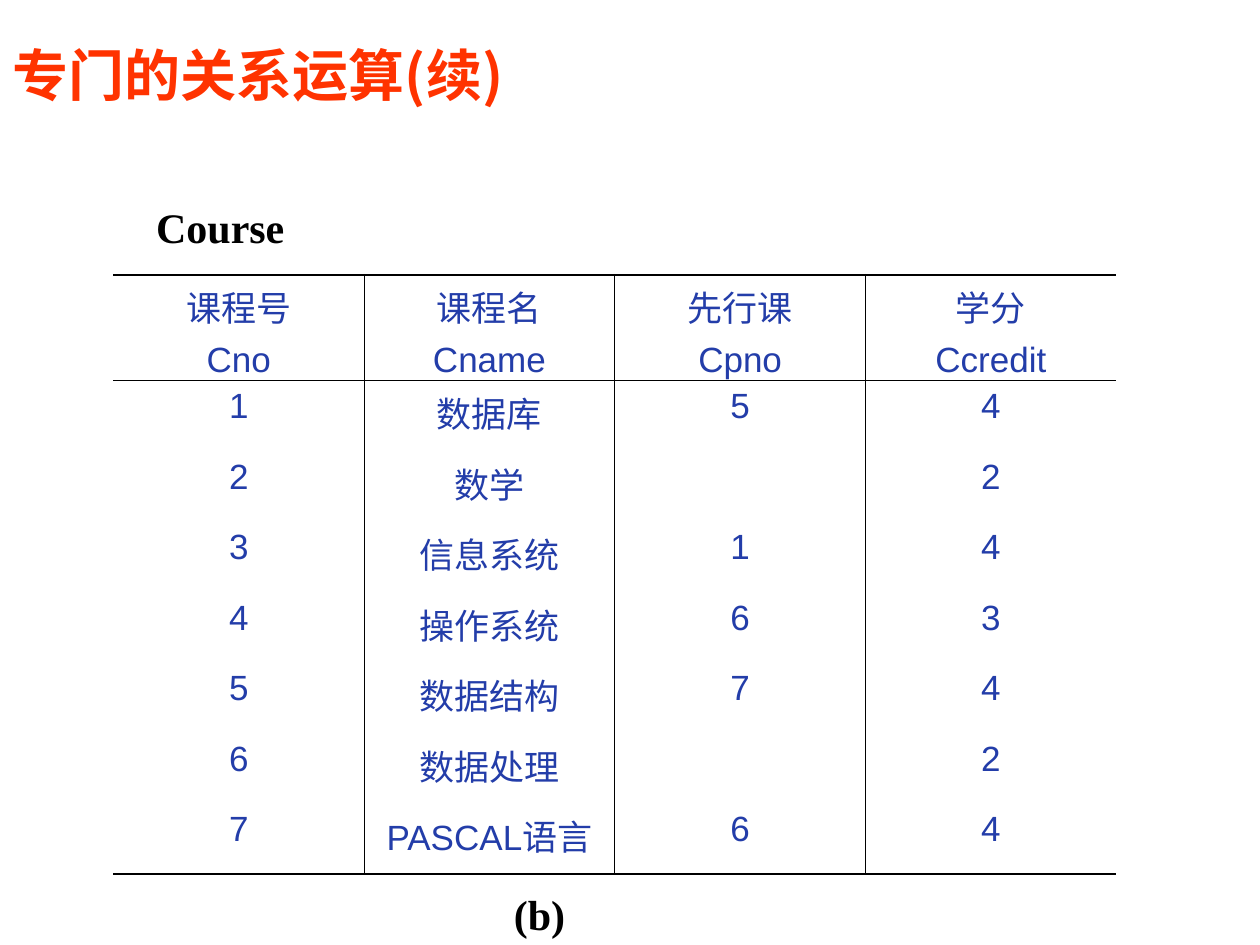
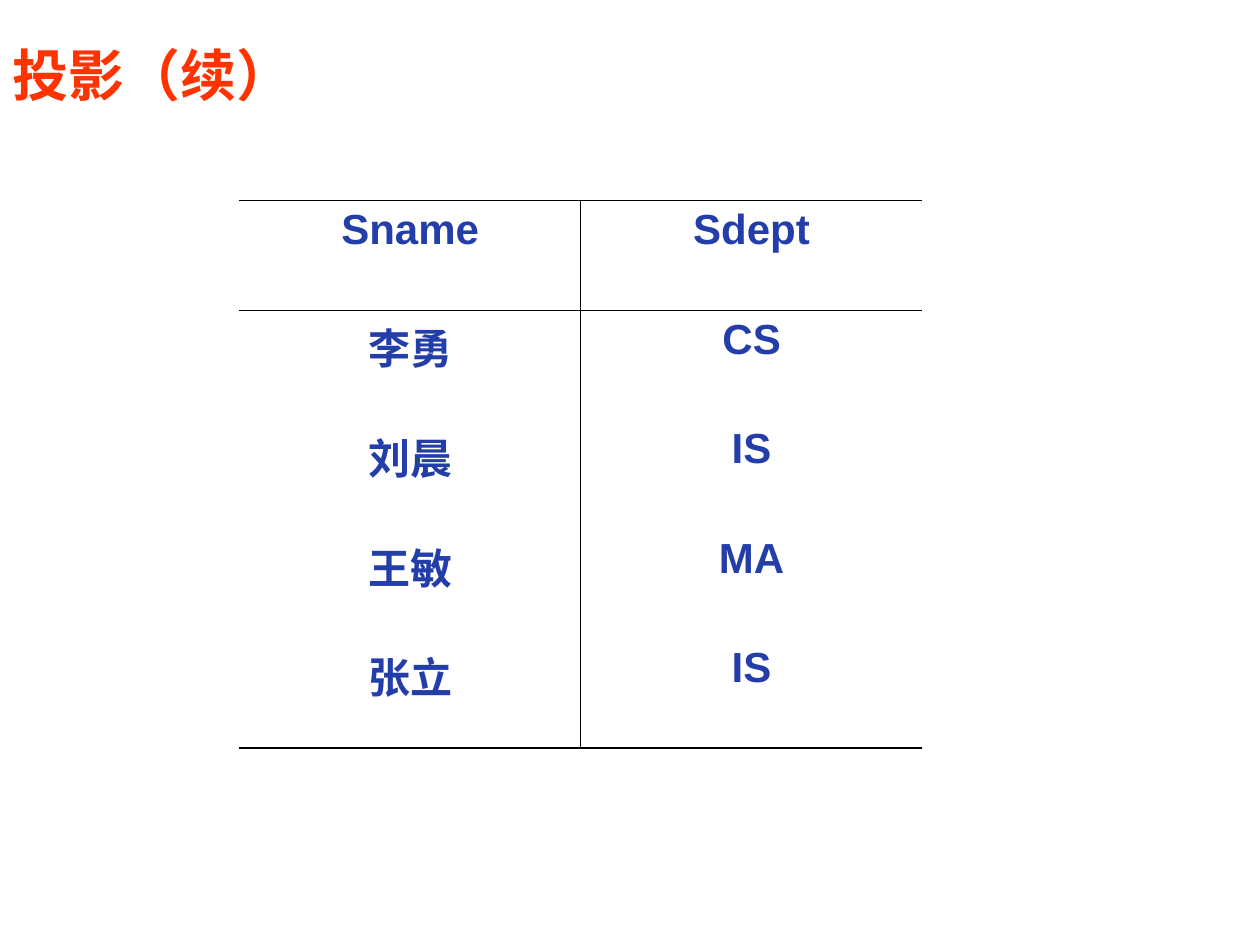
from lxml import etree
from pptx import Presentation
from pptx.dml.color import RGBColor
from pptx.enum.text import MSO_ANCHOR, PP_ALIGN
from pptx.oxml.ns import qn
from pptx.util import Inches, Pt

# Shared style
TITLE_RED = RGBColor(0xFF, 0x33, 0x00)
TABLE_BLUE = RGBColor(0x23, 0x3D, 0xA9)
BLACK = RGBColor(0, 0, 0)
HAN_FONT = "Noto Sans CJK SC"
TABLE_FONT = "Arial"
LABEL_FONT = "Times New Roman"
THIN, THICK = Pt(0.45), Pt(1.08)

COURSE_ROWS = [
    ["课程号\nCno", "课程名\nCname", "先行课\nCpno", "学分\nCcredit"],
    ["1", "数据库", "5", "4"],
    ["2", "数学", "", "2"],
    ["3", "信息系统", "1", "4"],
    ["4", "操作系统", "6", "3"],
    ["5", "数据结构", "7", "4"],
    ["6", "数据处理", "", "2"],
    ["7", "PASCAL语言", "6", "4"],
]
PROJECTION_ROWS = [
    ["Sname", "Sdept"],
    ["李勇", "CS"],
    ["刘晨", "IS"],
    ["王敏", "MA"],
    ["张立", "IS"],
]


def write_text(frame, text, size, color, font, bold=False,
               align=PP_ALIGN.LEFT, space_before=0):
    """Write one paragraph per line, spacing only the later ones."""
    for index, line in enumerate(text.split("\n")):
        paragraph = frame.add_paragraph() if index else frame.paragraphs[0]
        paragraph.alignment = align
        if index:
            paragraph.space_before = Pt(space_before)
        run = paragraph.add_run()
        run.text = line
        run.font.size = Pt(size)
        run.font.bold = bold
        run.font.name = font
        run.font.color.rgb = color
        east_asian = etree.SubElement(run.font._element, qn("a:ea"))
        east_asian.set("typeface", HAN_FONT)


def add_text_box(slide, text, left, top, width, height, wrap=False,
                 anchor=MSO_ANCHOR.TOP, **text_format):
    shape = slide.shapes.add_textbox(
        Inches(left), Inches(top), Inches(width), Inches(height))
    frame = shape.text_frame
    frame.word_wrap = wrap
    frame.vertical_anchor = anchor
    write_text(frame, text, **text_format)


def add_title(slide, text):
    add_text_box(slide, text, 0, 0.28, 8.08, 0.62, wrap=True,
                 anchor=MSO_ANCHOR.MIDDLE, size=32, color=TITLE_RED,
                 font=HAN_FONT, bold=True)


def add_label(slide, text, left, top, width):
    add_text_box(slide, text, left, top, width, 0.5, size=24, color=BLACK,
                 font=LABEL_FONT, bold=True)


def set_border(cell, side, width):
    """Draw one cell edge; a width of None leaves it open."""
    properties = cell._tc.get_or_add_tcPr()
    line = etree.SubElement(properties, qn(f"a:ln{side}"))
    if width is None:
        etree.SubElement(line, qn("a:noFill"))
        return
    line.set("w", str(int(width)))
    fill = etree.SubElement(line, qn("a:solidFill"))
    etree.SubElement(fill, qn("a:srgbClr")).set("val", str(BLACK))


def add_relation(slide, rows, left, top, column_width, row_heights,
                 **text_format):
    """Add a table ruled above, below, under its header and between columns."""
    last_row, last_column = len(rows) - 1, len(rows[0]) - 1
    frame = slide.shapes.add_table(
        len(rows), len(rows[0]), Inches(left), Inches(top),
        Inches(column_width * len(rows[0])), Inches(sum(row_heights)))
    table = frame.table
    table.first_row = table.horz_banding = False
    for column in table.columns:
        column.width = Inches(column_width)
    for row, height in zip(table.rows, row_heights):
        row.height = Inches(height)
    for r, values in enumerate(rows):
        above = {0: THICK, 1: THIN}.get(r)
        below = {0: THIN, last_row: THICK}.get(r)
        for c, value in enumerate(values):
            cell = table.cell(r, c)
            set_border(cell, "L", THIN if c else None)
            set_border(cell, "R", THIN if c < last_column else None)
            set_border(cell, "T", above)
            set_border(cell, "B", below)
            cell.fill.background()
            if value:
                write_text(cell.text_frame, value, color=TABLE_BLUE,
                           font=TABLE_FONT, align=PP_ALIGN.CENTER,
                           **text_format)


def add_slide(presentation, title):
    slide = presentation.slides.add_slide(presentation.slide_layouts[6])
    add_title(slide, title)
    return slide


def main():
    presentation = Presentation()
    presentation.slide_width = Inches(10)
    presentation.slide_height = Inches(7.5)

    # Course relation
    slide = add_slide(presentation, "专门的关系运算(续)")
    add_relation(slide, COURSE_ROWS, 0.9, 2.18, 1.99, [0.84] + [0.56] * 7,
                 size=20, space_before=5)
    add_label(slide, "Course", 1.14, 1.55, 1.22)
    add_label(slide, "(b)", 3.98, 7, 0.61)

    # Projection result
    slide = add_slide(presentation, "投影（续）")
    add_relation(slide, PROJECTION_ROWS, 1.9, 1.59, 2.71, [0.87] * 5,
                 size=24, bold=True)

    presentation.save("out.pptx")


if __name__ == "__main__":
    main()
